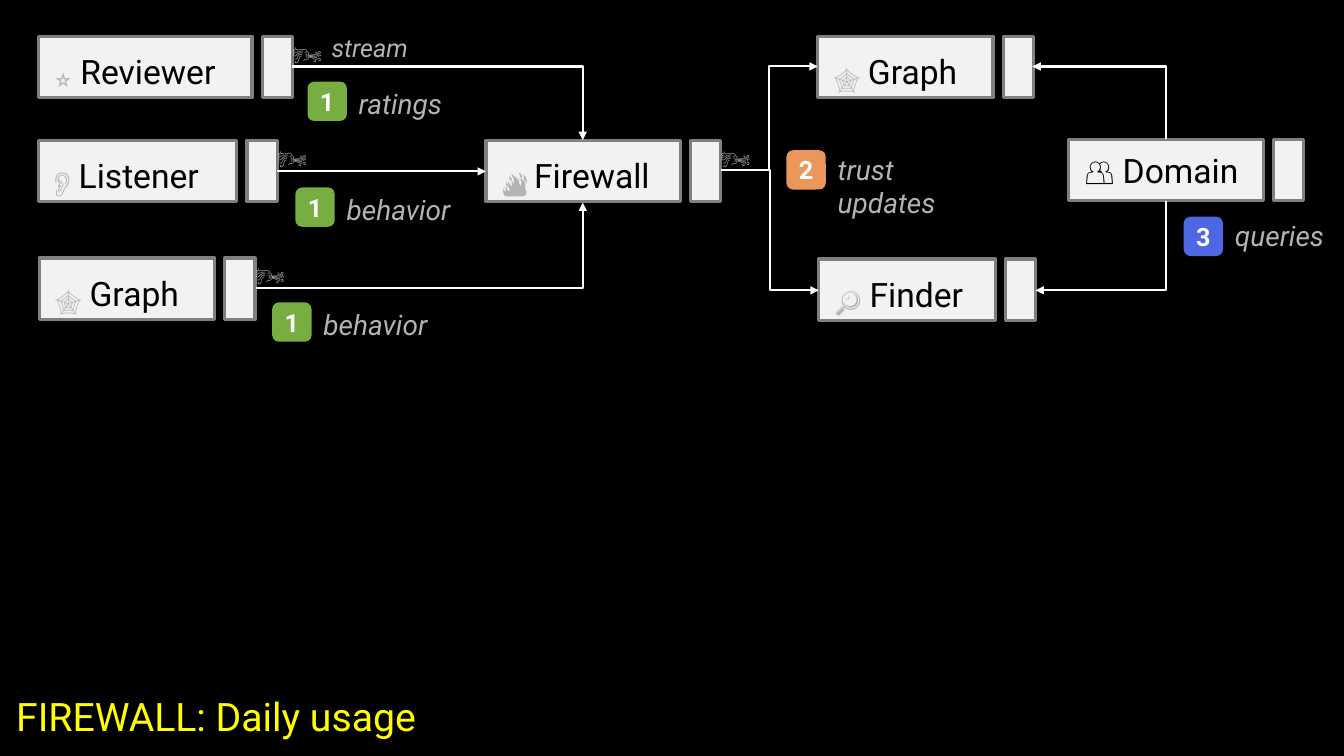
"""Build the firewall daily usage diagram slide."""
from lxml import etree
from pptx import Presentation
from pptx import util as u
from pptx.dml.color import RGBColor
from pptx.enum import shapes, text
from pptx.oxml.ns import qn

INK = {
    "back": "000000", "box": "F2F2F2", "edge": "808080", "dim": "B3B3B3",
    "black": "000000", "white": "FFFFFF", "title": "FFFF00",
    "green": "77AD41", "orange": "EB975C", "blue": "4E68E3",
}
HIGH = 0.61
STUB = 0.3
GAP = 0.1

NODES = [
    (4.82, 1.39, 1.93, "🔥 ", "Firewall", True),
    (0.38, 0.36, 2.12, "⭐", " Reviewer", True),
    (0.38, 1.39, 1.97, "👂", " Listener", True),
    (0.39, 2.56, 1.74, "🕸", " Graph", True),
    (8.12, 2.57, 1.75, "🔎", " Finder", False),
    (8.11, 0.36, 1.74, "🕸", " Graph", False),
    (10.6, 1.38, 1.93, "", "👥 Domain", False),
]
LINKS = [
    ("bentConnector2", 2.9, 0.66, 5.78, 1.39, "tailEnd"),
    ("bentConnector2", 2.54, 2.86, 5.78, 2.01, "tailEnd"),
    ("line", 2.75, 1.7, 4.82, 1.7, "tailEnd"),
    ("bentConnector3", 7.15, 1.69, 8.11, 0.66, "tailEnd"),
    ("bentConnector3", 7.15, 1.69, 8.12, 2.88, "tailEnd"),
    ("bentConnector2", 10.24, 0.66, 11.56, 1.38, "headEnd"),
    ("bentConnector2", 10.27, 2.88, 11.56, 1.99, "headEnd"),
]
TAGS = [
    (3.05, 0.81, "1", "green", "ratings", 1.77, 0),
    (2.7, 3, "1", "green", "behavior", 1.77, 0),
    (2.93, 1.86, "1", "green", "behavior", 1.77, 0),
    (7.8, 1.49, "2", "orange", "trust\nupdates", 1.49, -0.03),
    (11.74, 2.15, "3", "blue", "queries", 1.14, -0.03),
]


def tint(name):
    """Return the named colour."""
    return RGBColor.from_string(INK[name])


def style(run, size, ink, bold=False, slant=False):
    """Format one run."""
    font = run.font
    font.name = "Roboto"
    font.size = u.Pt(size)
    font.color.rgb = tint(ink)
    font.bold = bold
    font.italic = slant


def inset(frame, left, top, right, base):
    """Set the four margins of a text frame in inches."""
    frame.margin_left = u.Inches(left)
    frame.margin_top = u.Inches(top)
    frame.margin_right = u.Inches(right)
    frame.margin_bottom = u.Inches(base)


def block(slide, kind, x, y, wide, high, fill, edge=None):
    """Add a filled shape with an optional outline."""
    shape = slide.shapes.add_shape(
        kind, u.Inches(x), u.Inches(y), u.Inches(wide), u.Inches(high))
    shape.shadow.inherit = False
    shape.fill.solid()
    shape.fill.fore_color.rgb = tint(fill)
    if edge:
        shape.line.color.rgb = tint(edge)
        shape.line.width = u.Pt(2.25)
    else:
        shape.line.fill.background()
    return shape


def label(slide, x, y, wide, high, words, size, slant=True, after=0):
    """Add a grey wrapped text box."""
    frame = slide.shapes.add_textbox(
        u.Inches(x), u.Inches(y), u.Inches(wide), u.Inches(high)).text_frame
    frame.word_wrap = True
    para = frame.paragraphs[0]
    para.text = words
    para.space_after = u.Pt(after)
    for run in para.runs:
        style(run, size, "dim", slant=slant)


def node(slide, x, y, wide, mark, name, windy):
    """Add a named box, the stub beside it and its wind mark."""
    rect = shapes.MSO_SHAPE.RECTANGLE
    frame = block(slide, rect, x, y, wide, HIGH, "box", "edge").text_frame
    frame.vertical_anchor = text.MSO_ANCHOR.MIDDLE
    inset(frame, 0.16, 0.16, 0.04, 0.16)
    para = frame.paragraphs[0]
    para.alignment = text.PP_ALIGN.LEFT
    if mark:
        run = para.add_run()
        run.text = mark
        style(run, 32, "dim")
        run._r.get_or_add_rPr().set("baseline", "-9000")
    run = para.add_run()
    run.text = name
    style(run, 24, "black")
    side = x + wide + GAP
    block(slide, rect, side, y, STUB, HIGH, "box", "edge")
    if windy:
        label(slide, side + 0.21, y - 0.05, 0.86, 0.44, "🌬️", 20, slant=False)


def link(slide, kind, x1, y1, x2, y2, end):
    """Add a white straight or bent arrow."""
    line = slide.shapes.add_connector(
        shapes.MSO_CONNECTOR.STRAIGHT,
        u.Inches(x1), u.Inches(y1), u.Inches(x2), u.Inches(y2))
    line.line.color.rgb = tint("white")
    line.line.width = u.Pt(1.5)
    props = line._element.spPr
    props.find(qn("a:prstGeom")).set("prst", kind)
    etree.SubElement(props.find(qn("a:ln")), qn("a:" + end), type="triangle")
    etree.SubElement(props, qn("a:effectLst"))


def tag(slide, x, y, digit, fill, words, wide, shift):
    """Add a numbered badge and the words beside it."""
    high = 0.77 if "\n" in words else 0.44
    label(slide, x + 0.41, y + shift, wide, high, words, 20, after=6)
    frame = block(slide, shapes.MSO_SHAPE.ROUNDED_RECTANGLE,
                  x, y, 0.39, 0.39, fill).text_frame
    frame.vertical_anchor = text.MSO_ANCHOR.MIDDLE
    inset(frame, 0.05, 0.05, 0.05, 0.05)
    para = frame.paragraphs[0]
    para.text = digit
    para.alignment = text.PP_ALIGN.CENTER
    style(para.runs[0], 18, "white", bold=True)


def head(slide, words):
    """Place and format the title."""
    title = slide.shapes.title
    title.left, title.top = u.Inches(0.16), u.Inches(6.82)
    title.width, title.height = u.Inches(4.03), u.Inches(0.57)
    frame = title.text_frame
    frame.text = words
    frame.word_wrap = False
    frame.auto_size = text.MSO_AUTO_SIZE.NONE
    frame.vertical_anchor = text.MSO_ANCHOR.TOP
    inset(frame, 0, 0.05, 0, 0.05)
    para = frame.paragraphs[0]
    para.alignment = text.PP_ALIGN.LEFT
    para.line_spacing = 1.0
    para.space_before = u.Pt(0)
    style(para.runs[0], 28, "title")


def main():
    """Build and save the slide."""
    deck = Presentation()
    deck.slide_width, deck.slide_height = u.Inches(13.33), u.Inches(7.5)
    slide = deck.slides.add_slide(deck.slide_layouts[5])
    fill = slide.background.fill
    fill.solid()
    fill.fore_color.rgb = tint("back")
    head(slide, "FIREWALL: Daily usage")
    for item in NODES:
        node(slide, *item)
    for item in LINKS:
        link(slide, *item)
    for item in TAGS:
        tag(slide, *item)
    label(slide, 3.19, 0.27, 1.29, 0.4, "stream", 18)
    deck.save("out.pptx")


if __name__ == "__main__":
    main()
